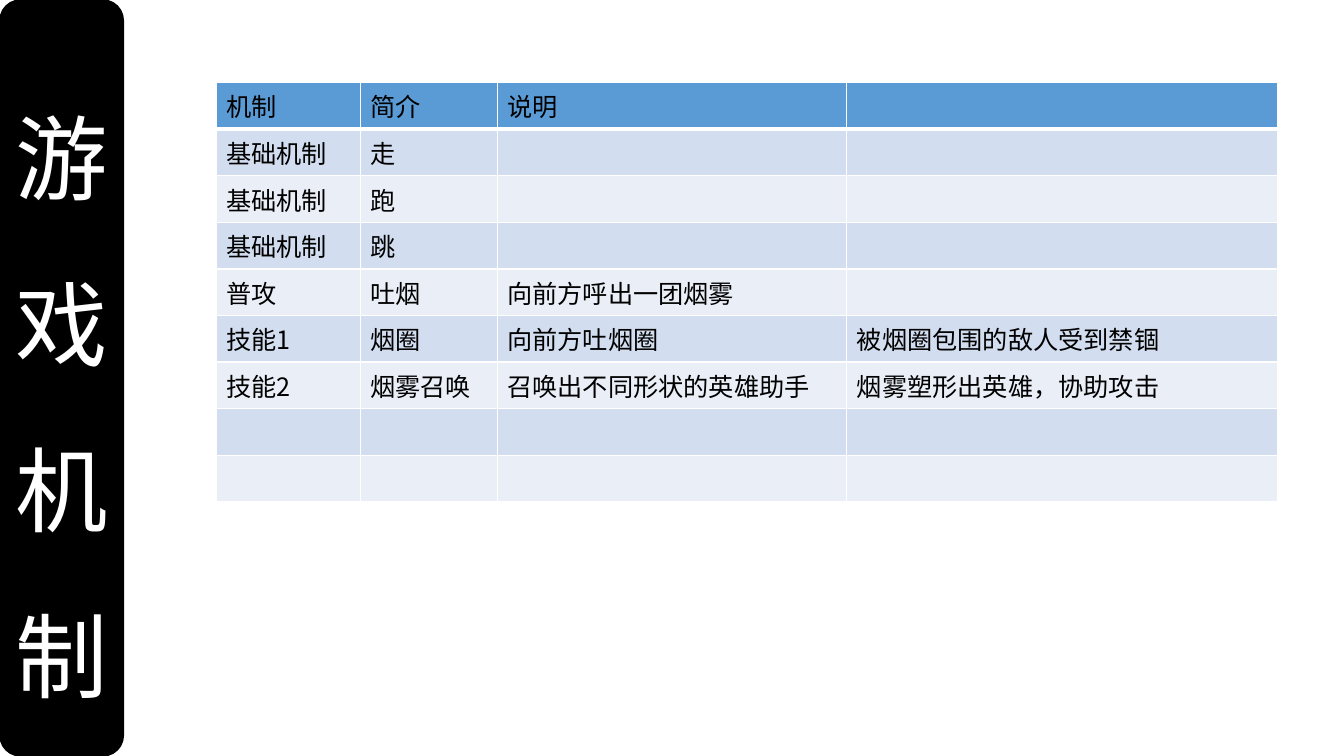
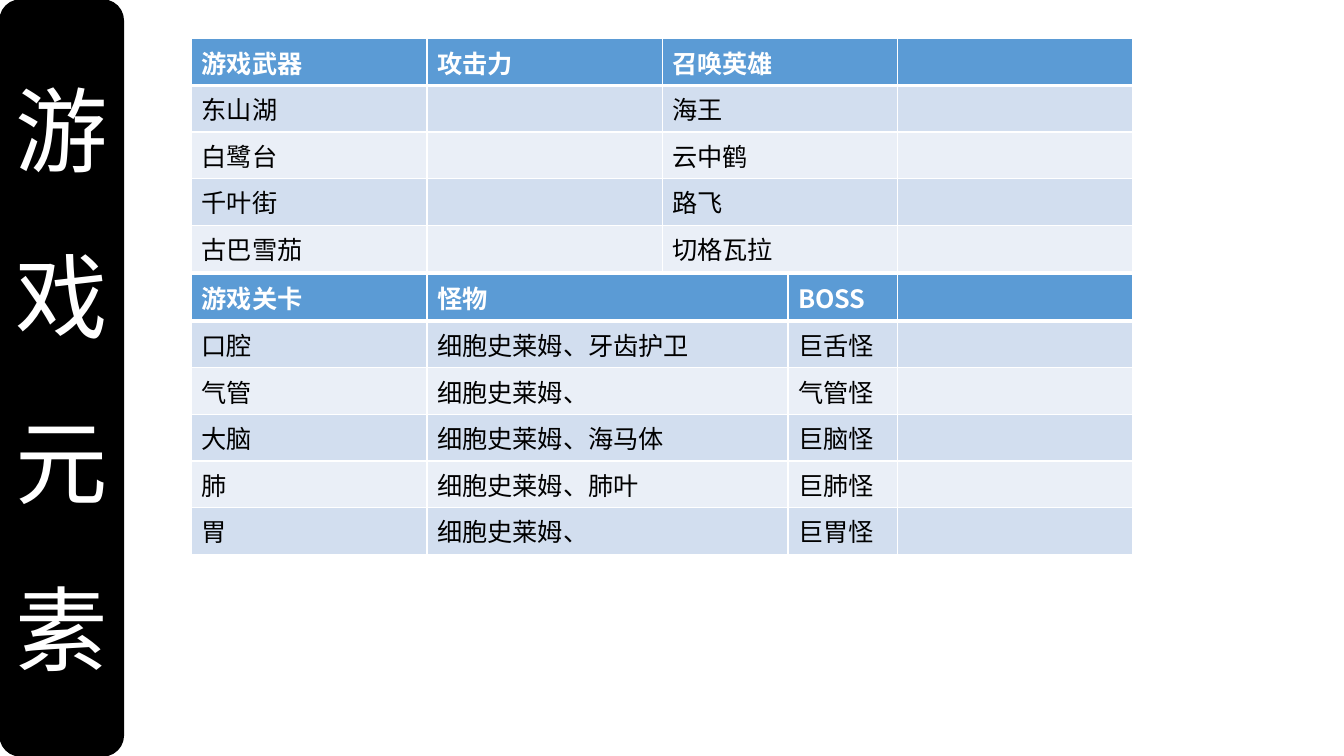
from dataclasses import dataclass

from lxml import etree
from pptx import Presentation
from pptx import util as u
from pptx.dml.color import RGBColor
from pptx.enum import shapes, text
from pptx.oxml import ns


@dataclass(frozen=True)
class Theme:
    font: str = "Noto Sans CJK SC"
    white: str = "FFFFFF"
    black: str = "000000"
    head: str = "5B9BD5"
    bands: tuple = ("D2DEEF", "EAEFF7")
    title: int = 66
    body: int = 18
    rule: int = 1
    thick: int = 3


T = Theme()
WIDE, HIGH = u.Cm(33.87), u.Cm(19.05)
ROW = u.Cm(1.17)


def rgb(code):
    return RGBColor.from_string(code)


def write(para, words, color, **style):
    """Add one run in the theme font, for Latin and East Asian text."""
    run = para.add_run()
    run.text = words
    for key, val in {"name": T.font, **style}.items():
        setattr(run.font, key, val)
    run.font.color.rgb = rgb(color)
    east = etree.SubElement(run.font._element, ns.qn("a:ea"))
    east.set("typeface", T.font)


def edge(cell, side, size):
    """Draw one white border of a cell."""
    props = cell._tc.get_or_add_tcPr()
    line = etree.SubElement(props, ns.qn("a:ln" + side), w=str(u.Pt(size)))
    fill = etree.SubElement(line, ns.qn("a:solidFill"))
    etree.SubElement(fill, ns.qn("a:srgbClr"), val=T.white)


def banner(slide, lines, box, foot=0.13):
    """Black side bar with its title running downwards."""
    bar = slide.shapes.add_shape(shapes.MSO_SHAPE.ROUNDED_RECTANGLE, *box)
    bar.shadow.inherit = False
    bar.fill.solid()
    bar.fill.fore_color.rgb = rgb(T.black)
    bar.line.color.rgb = rgb(T.black)
    bar.line.width = u.Pt(T.rule)
    frame = bar.text_frame
    form = {"word_wrap": True, "margin_bottom": u.Cm(foot),
            "vertical_anchor": text.MSO_ANCHOR.MIDDLE}
    for key, val in form.items():
        setattr(frame, key, val)
    for i, words in enumerate(lines):
        para = frame.add_paragraph() if i else frame.paragraphs[0]
        para.alignment = text.PP_ALIGN.CENTER
        para.line_spacing = 1.5
        write(para, words, T.white, size=u.Pt(T.title))


def grid(slide, rows, cols, left, top, ink=T.white, bold=True):
    """Banded table; ink and bold style the header row."""
    wide = [u.Cm(c) for c in cols]
    table = slide.shapes.add_table(len(rows), len(cols), u.Cm(left), u.Cm(top),
                                   sum(wide), ROW * len(rows)).table
    for col, width in zip(table.columns, wide):
        col.width = width
    for r, row in enumerate(rows):
        table.rows[r].height = ROW
        for c, words in enumerate(row):
            cell = table.cell(r, c)
            # The rule under the header is thick on both cells that share it
            for side in "LRTB":
                heavy = (r, side) in ((0, "B"), (1, "T"))
                edge(cell, side, T.thick if heavy else T.rule)
            cell.fill.solid()
            cell.fill.fore_color.rgb = rgb(T.bands[(r - 1) % 2] if r else T.head)
            if words:
                write(cell.text_frame.paragraphs[0], words,
                      T.black if r else ink, size=u.Pt(T.body),
                      bold=bold and r == 0)


def rules(slide, box):
    """Game mechanics."""
    banner(slide, ["游", "戏", "机制"], box)
    rows = [
        ("机制", "简介", "说明", ""),
        *[("基础机制", move, "", "") for move in "走跑跳"],
        ("普攻", "吐烟", "向前方呼出一团烟雾", ""),
        ("技能1", "烟圈", "向前方吐烟圈", "被烟圈包围的敌人受到禁锢"),
        ("技能2", "烟雾召唤", "召唤出不同形状的英雄助手", "烟雾塑形出英雄，协助攻击"),
        *[("",) * 4] * 2,
    ]
    grid(slide, rows, (3.63, 3.45, 8.81, 10.85), 5.45, 2.08, T.black, False)


def parts(slide, box):
    """Game elements: weapons above, levels below."""
    banner(slide, ["游", "戏", "元素"], box, foot=1.54)
    arms = [
        ("游戏武器", "攻击力", "召唤英雄", ""),
        ("东山湖", "", "海王", ""),
        ("白鹭台", "", "云中鹤", ""),
        ("千叶街", "", "路飞", ""),
        ("古巴雪茄", "", "切格瓦拉", ""),
    ]
    grid(slide, arms, (5.93,) * 4, 4.83, 0.98)
    foes = [("口腔", "牙齿护卫", "巨舌怪"), ("气管", "", "气管怪"),
            ("大脑", "海马体", "巨脑怪"), ("肺", "肺叶", "巨肺怪"),
            ("胃", "", "巨胃怪")]
    zones = [("游戏关卡", "怪物", "BOSS", "")]
    zones += [(zone, "细胞史莱姆、" + aide, boss, "") for zone, aide, boss in foes]
    grid(slide, zones, (5.93, 9.1, 2.76, 5.93), 4.83, 6.92)


def main():
    deck = Presentation()
    deck.slide_width, deck.slide_height = WIDE, HIGH
    box = (0, 0, u.Cm(3.11), HIGH)
    for build in (rules, parts):
        slide = deck.slides.add_slide(deck.slide_layouts[6])
        slide.background.fill.solid()
        slide.background.fill.fore_color.rgb = rgb(T.white)
        build(slide, box)
    deck.save("out.pptx")


if __name__ == "__main__":
    main()
